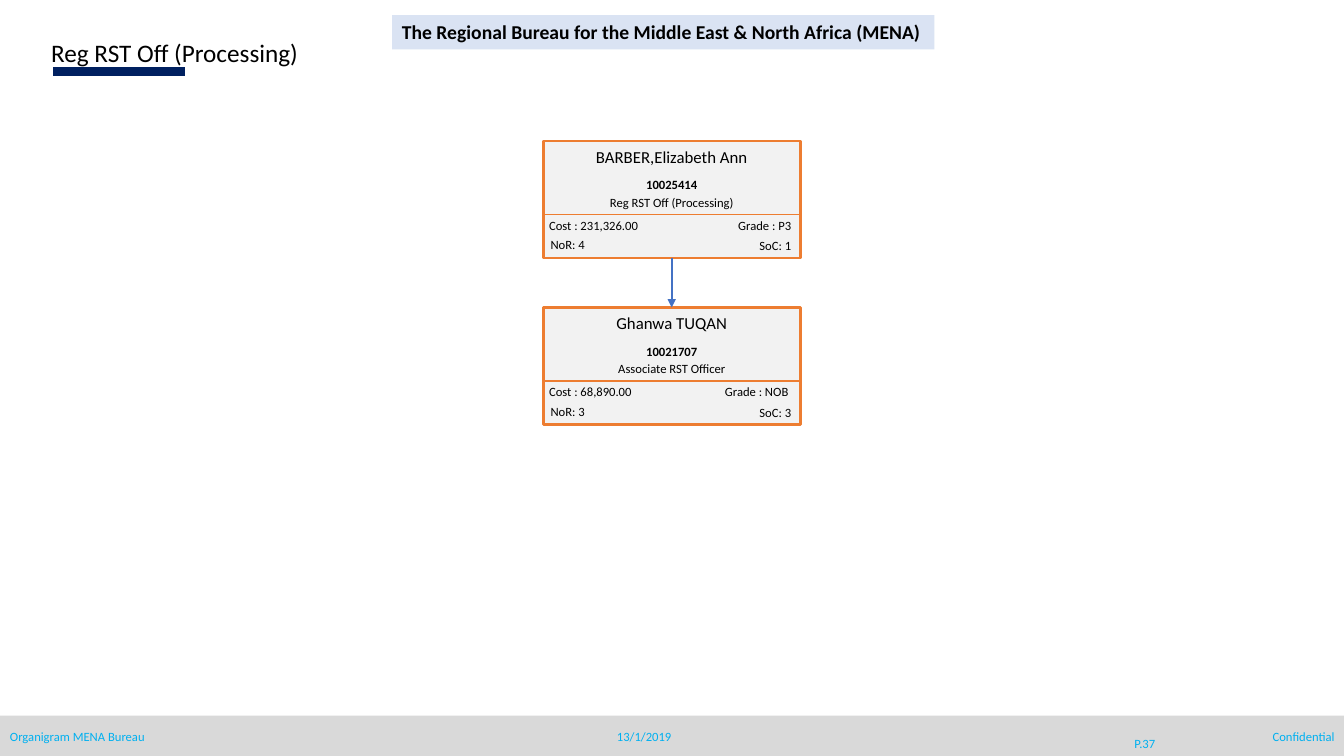
from dataclasses import dataclass

from lxml import etree
from pptx import Presentation
from pptx.dml.color import RGBColor
from pptx.enum.shapes import MSO_CONNECTOR, MSO_SHAPE
from pptx.enum.text import MSO_ANCHOR, PP_ALIGN
from pptx.oxml.ns import qn
from pptx.shapes.autoshape import Shape
from pptx.shapes.connector import Connector
from pptx.slide import Slide
from pptx.util import Pt

LEFT, CENTER, RIGHT = PP_ALIGN.LEFT, PP_ALIGN.CENTER, PP_ALIGN.RIGHT
TOP, MIDDLE = MSO_ANCHOR.TOP, MSO_ANCHOR.MIDDLE
RECTANGLE = MSO_SHAPE.RECTANGLE
STRAIGHT = MSO_CONNECTOR.STRAIGHT

COLORS = {
    "text": "000000",
    "footer_text": "00B0F0",
    "footer_band": "D9D9D9",
    "banner": "DAE3F3",
    "underline": "002060",
    "card": "F2F2F2",
    "card_line": "ED7D31",
    "arrow": "4472C4",
}
FONT = "Calibri"
PAGE_WIDTH, PAGE_HEIGHT = 960, 540
CARD_LEFT, CARD_WIDTH, CARD_HEIGHT = 388, 183.6, 83.5
FIRST_CARD_TOP, CARD_PITCH = 100.8, 118.8
DIVIDER_OFFSET = 52.6


@dataclass(frozen=True)
class Label:
    text: str
    left: float
    top: float
    width: float
    height: float = 18
    align: PP_ALIGN = LEFT
    size: float = 9
    bold: bool = False
    color: str = "text"
    anchor: MSO_ANCHOR = TOP


@dataclass(frozen=True)
class Person:
    name: str
    number: str
    role: str
    cost: str
    grade: str
    reports: str
    span_of_control: str


PEOPLE = [
    Person("BARBER,Elizabeth Ann", "10025414", "Reg RST Off (Processing)",
           "Cost : 231,326.00", "Grade : P3", "NoR: 4", "SoC: 1"),
    Person("Ghanwa TUQAN", "10021707", "Associate RST Officer",
           "Cost : 68,890.00", "Grade : NOB ", "NoR: 3", "SoC: 3"),
]

HEADING = Label("Reg RST Off (Processing)", 29.5, 23, 381.6, 29.5, size=18)
BANNER = Label("The Regional Bureau for the Middle East & North Africa (MENA)",
               280, 10.8, 387.4, 24.5, size=14, bold=True)
FOOTERS = [
    Label("Organigram MENA Bureau", 0, 517, 221.8, color="footer_text"),
    Label("Confidential", 738.5, 517, 221.8, align=RIGHT, color="footer_text"),
    Label("P.37", 789, 517, 57.6, 28.8, CENTER, color="footer_text", anchor=MIDDLE),
    Label("13/1/2019", 428.4, 517, 63.4, align=CENTER, color="footer_text", anchor=MIDDLE),
]


def rgb(name: str) -> RGBColor:
    return RGBColor.from_string(COLORS[name])


def add_label(page: Slide, label: Label) -> Shape:
    box = page.shapes.add_textbox(
        Pt(label.left), Pt(label.top), Pt(label.width), Pt(label.height))
    frame = box.text_frame
    frame.word_wrap = True
    frame.vertical_anchor = label.anchor
    para = frame.paragraphs[0]
    para.text = label.text
    para.alignment = label.align
    para.font.name = FONT
    para.font.size = Pt(label.size)
    para.font.bold = label.bold
    para.font.color.rgb = rgb(label.color)
    return box


def add_rectangle(page: Slide, left: float, top: float, width: float,
                  height: float, fill: str) -> Shape:
    shape = page.shapes.add_shape(RECTANGLE, Pt(left), Pt(top), Pt(width), Pt(height))
    shape.shadow.inherit = False
    shape.fill.solid()
    shape.fill.fore_color.rgb = rgb(fill)
    shape.line.fill.background()
    return shape


def add_line(page: Slide, x1: float, y1: float, x2: float, y2: float,
             color: str, width: float) -> Connector:
    line = page.shapes.add_connector(STRAIGHT, Pt(x1), Pt(y1), Pt(x2), Pt(y2))
    line.line.color.rgb = rgb(color)
    line.line.width = Pt(width)
    etree.SubElement(line._element.spPr, qn("a:effectLst"))
    return line


def add_card(page: Slide, person: Person, top: float) -> Shape:
    card = add_rectangle(page, CARD_LEFT, top, CARD_WIDTH, CARD_HEIGHT, "card")
    card.line.color.rgb = rgb("card_line")
    card.line.width = Pt(2)
    right = CARD_LEFT + CARD_WIDTH
    divider = top + DIVIDER_OFFSET
    add_line(page, CARD_LEFT, divider, right, divider, "card_line", 1)
    labels = [
        Label(person.name, CARD_LEFT, top + 0.4, CARD_WIDTH, 22, CENTER, 12),
        Label(person.number, CARD_LEFT, top + 22.3, CARD_WIDTH, align=CENTER, bold=True),
        Label(person.role, CARD_LEFT, top + 34.6, CARD_WIDTH, align=CENTER),
        Label(person.cost, CARD_LEFT - 2.9, top + 51.1, 113.8),
        Label(person.grade, right - 87.2, top + 51.1, 87.8, align=RIGHT),
        Label(person.reports, CARD_LEFT - 1.8, top + 65, 56),
        Label(person.span_of_control, right - 72.8, top + 65.8, 73.4, align=RIGHT),
    ]
    for label in labels:
        add_label(page, label)
    return card


def add_arrow(page: Slide, manager: Shape, report: Shape) -> None:
    center = CARD_LEFT + CARD_WIDTH / 2
    arrow = add_line(page, center, FIRST_CARD_TOP + CARD_HEIGHT,
                     center, FIRST_CARD_TOP + CARD_PITCH, "arrow", 1.5)
    arrow.begin_connect(manager, 2)
    arrow.end_connect(report, 0)
    outline = arrow.line._get_or_add_ln()
    etree.SubElement(outline, qn("a:tailEnd"), type="triangle")


def main() -> None:
    deck = Presentation()
    deck.slide_width, deck.slide_height = Pt(PAGE_WIDTH), Pt(PAGE_HEIGHT)
    page = deck.slides.add_slide(deck.slide_layouts[6])

    add_line(page, 38.2, 51.1, 132.5, 51.1, "underline", 7)
    add_rectangle(page, 0, 511.2, PAGE_WIDTH, PAGE_HEIGHT - 511.2, "footer_band")
    for label in [HEADING, *FOOTERS]:
        add_label(page, label)

    manager, report = [
        add_card(page, person, FIRST_CARD_TOP + index * CARD_PITCH)
        for index, person in enumerate(PEOPLE)
    ]
    add_arrow(page, manager, report)

    banner = add_label(page, BANNER)
    banner.text_frame.word_wrap = False
    banner.fill.solid()
    banner.fill.fore_color.rgb = rgb("banner")

    deck.save("out.pptx")


if __name__ == "__main__":
    main()
